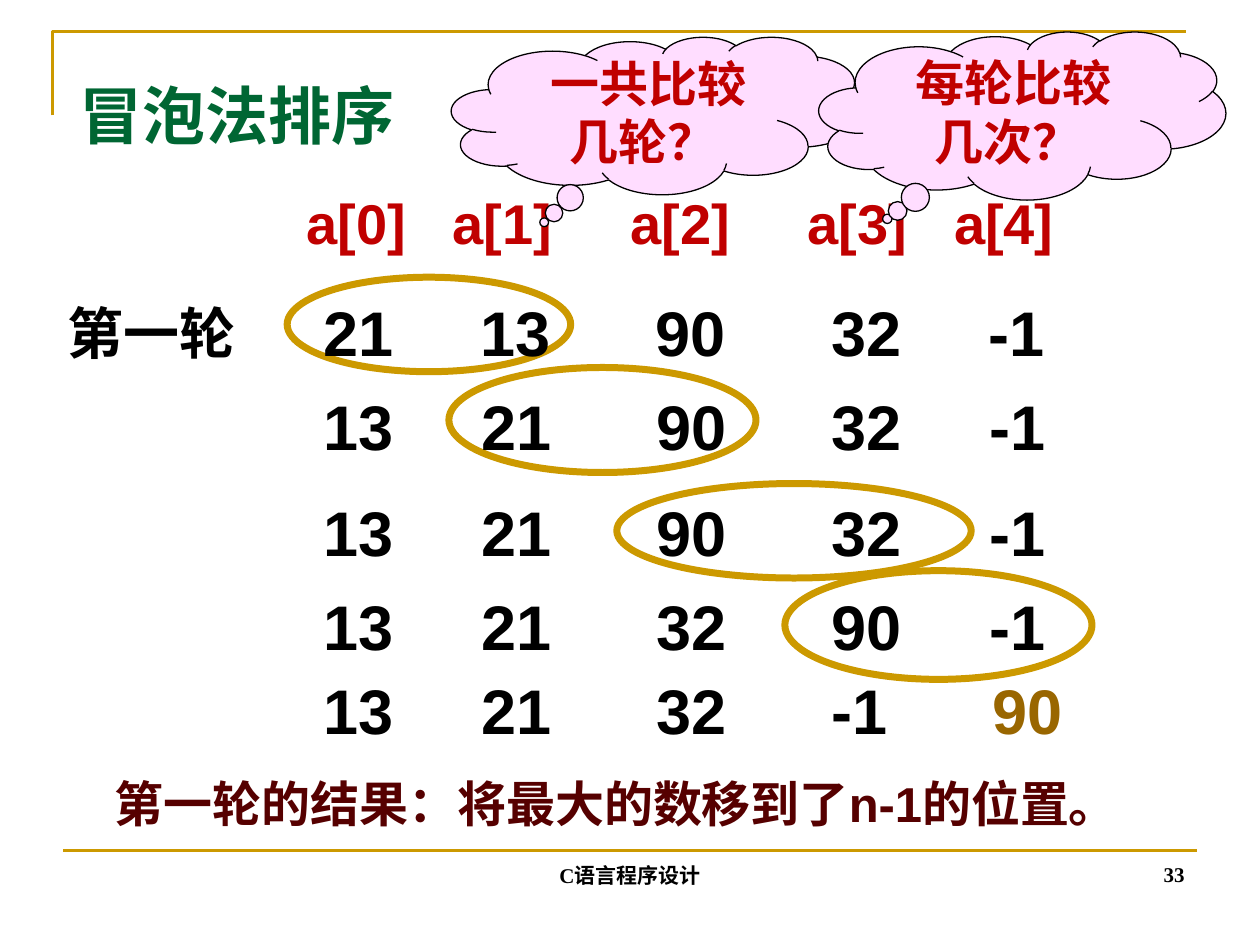
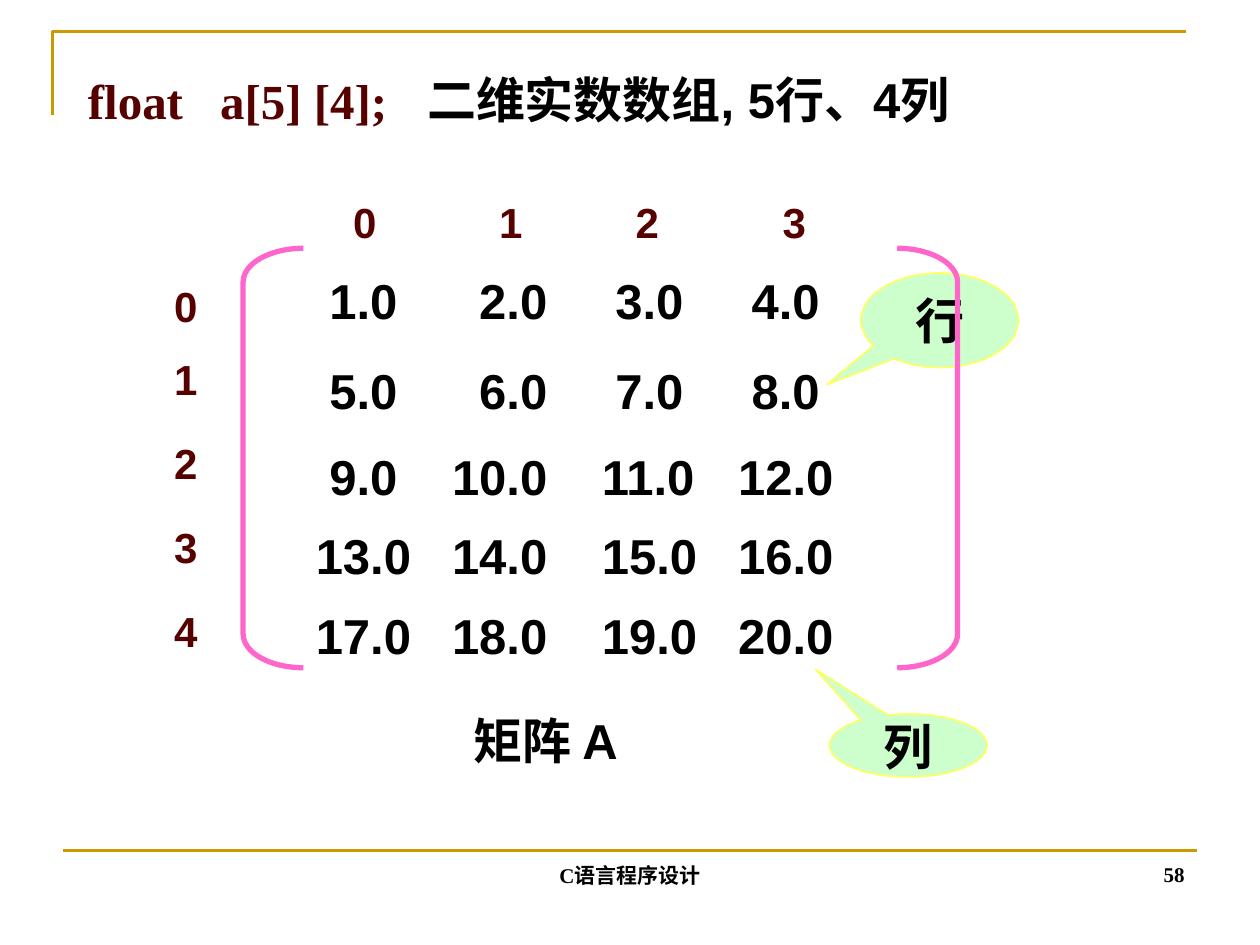
from dataclasses import dataclass

from lxml.etree import SubElement
from pptx import Presentation
from pptx.dml.color import RGBColor
from pptx.enum.shapes import MSO_CONNECTOR as Connector, MSO_SHAPE as Preset
from pptx.enum.text import MSO_ANCHOR as Anchor, MSO_AUTO_SIZE as AutoSize, PP_ALIGN as Align
from pptx.oxml.ns import qn
from pptx.util import Emu, Inches, Pt


@dataclass(frozen=True)
class Theme:
    gold: str = "CC9900"
    black: str = "000000"
    red: str = "C00000"
    maroon: str = "560000"
    green: str = "006633"
    brown: str = "996600"
    pink: str = "FFDDFF"
    magenta: str = "FF66CC"
    mint: str = "CCFFCC"
    lemon: str = "FFFF66"
    sans: str = "Arial"
    serif: str = "Times New Roman"
    cjk: str = "Noto Sans CJK JP"
    large: int = 36
    header: int = 32
    body: int = 28
    label: int = 24
    footer: int = 12
    space: float = 0.278


class Deck:
    cell = Inches(1) / 12

    def __init__(self, theme):
        self.theme = theme
        self.prs = Presentation()
        self.prs.slide_width, self.prs.slide_height = Inches(10), Inches(7.5)
        self.slide = None

    def grid(self, *cells):
        return [Emu(round(c * self.cell)) for c in cells]

    def new_slide(self, number):
        t = self.theme
        self.slide = self.prs.slides.add_slide(self.prs.slide_layouts[6])
        corner = self.slide.shapes.build_freeform(*self.grid(5, 11))
        corner.add_line_segments([self.grid(5, 3), self.grid(113, 3)], close=False)
        self.style(corner.convert_to_shape(), None, t.gold, 1.5)
        rule = self.slide.shapes.add_connector(Connector.STRAIGHT, *self.grid(6, 81, 114, 81))
        rule.line.color.rgb = RGBColor.from_string(t.gold)
        rule.line.width = Pt(1.5)
        SubElement(rule._element.spPr, qn("a:effectLst"))
        for place, words, align in (((86, 79, 28, 6), str(number), Align.RIGHT),
                                    ((41, 79.1, 38, 6), "C语言程序设计", Align.CENTER)):
            self.text(place, words, t.footer, font=t.serif, align=align,
                      anchor=Anchor.BOTTOM, grow=False)

    def style(self, shape, fill, line, width):
        shape.shadow.inherit = False
        if fill:
            shape.fill.solid()
            shape.fill.fore_color.rgb = RGBColor.from_string(fill)
        else:
            shape.fill.background()
        shape.line.color.rgb = RGBColor.from_string(line)
        shape.line.width = Pt(width)

    def shape(self, preset, place, fill, line, width, adjust=()):
        shape = self.slide.shapes.add_shape(preset, *self.grid(*place))
        self.style(shape, fill, line, width)
        for i, value in enumerate(adjust):
            shape.adjustments[i] = value
        return shape

    def add_words(self, paragraph, words, size, color, font):
        run = paragraph.add_run()
        run.text = words
        run.font.size, run.font.bold, run.font.name = Pt(size), True, font
        run.font.color.rgb = RGBColor.from_string(color)

    def text(self, place, words, size, color=None, font=None, align=Align.LEFT,
             anchor=Anchor.TOP, grow=True, wrap=True, spacing=None):
        frame = self.slide.shapes.add_textbox(*self.grid(*place)).text_frame
        frame.word_wrap, frame.vertical_anchor = wrap, anchor
        frame.auto_size = AutoSize.SHAPE_TO_FIT_TEXT if grow else AutoSize.NONE
        paragraph = frame.paragraphs[0]
        paragraph.alignment = align
        if spacing:
            paragraph.line_spacing = spacing
        self.add_words(paragraph, words, size, color or self.theme.black,
                       font or self.theme.sans)
        return paragraph

    def tab_stops(self, paragraph, size, stops):
        tabs = SubElement(paragraph._p.get_or_add_pPr(), qn("a:tabLst"))
        for stop in stops:
            position = Pt(stop * size * self.theme.space)
            SubElement(tabs, qn("a:tab"), pos=str(int(position)), algn="l")

    def tabbed_row(self, place, values, stops, size, color=None):
        lead = "\t" if stops[0] else ""
        paragraph = self.text(place, lead + "\t".join(values), size, color)
        self.tab_stops(paragraph, size, [s for s in stops if s])
        return paragraph

    def callout(self, preset, place, words, fill, line, width, adjust, color, font, wrap):
        frame = self.shape(preset, place, fill, line, width, adjust).text_frame
        frame.word_wrap, frame.vertical_anchor = wrap, Anchor.MIDDLE
        paragraph = frame.paragraphs[0]
        paragraph.alignment = Align.CENTER
        self.add_words(paragraph, words, self.theme.body, color, font)


def bubble_sort(deck):
    t = deck.theme
    deck.new_slide(33)
    for compared_pair in ((27.35, 26.4, 27, 9), (42.75, 35, 29.25, 10),
                          (58.75, 46.05, 33.75, 9), (74.75, 54.35, 29.25, 10.35)):
        deck.shape(Preset.OVAL, compared_pair, None, t.gold, 4)

    deck.tabbed_row((28, 17.4, 74, 7.65), [f"a[{i}]" for i in range(5)],
                    (0, 9.4, 20.8, 32.2, 41.6), t.header, t.red)
    columns = (1, 10, 20, 30, 39)
    deck.tabbed_row((21.25, 27.35, 82.7, 8.4), "21 13 90 32 -1".split(),
                    [c + 4 for c in columns], t.large)
    for top, width, numbers in ((36.35, 78, "13 21 90 32 -1"), (46.4, 78, "13 21 90 32 -1"),
                                (55.4, 80, "13 21 32 90 -1")):
        deck.tabbed_row((28, top, width, 8.4), numbers.split(), columns, t.large)
    result = deck.tabbed_row((28, 63.4, 80, 8.4), ["13", "21", "32", "-1", ""],
                             columns[:4] + (39.2,), t.large)
    deck.add_words(result, "90", t.large, t.brown, t.sans)

    deck.text((5.25, 27.85, 19.55, 7.65), "第一轮", t.header, wrap=False)
    deck.text((6.35, 5.25, 32.4, 9.85), "冒泡法排序", t.large, t.green, t.serif,
              wrap=False, spacing=1.2)
    for place, question, tail in (
            ((43, 3.5, 39.25, 15), " 一共比较几轮？", (-0.275, 0.678)),
            ((78, 3, 38.75, 16), " 每轮比较几次？", (-0.332, 0.615))):
        deck.callout(Preset.CLOUD_CALLOUT, place, question, t.pink, t.black, 0.75,
                     tail, t.red, t.cjk, True)
    deck.text((9.75, 73.1, 101.25, 6.85), "第一轮的结果：将最大的数移到了n-1的位置。",
              t.body, t.maroon)


def matrix(deck):
    t = deck.theme
    deck.new_slide(58)
    declaration = deck.text((7.2, 5, 86.9, 15), "float\ta[5] [4];", t.body, t.maroon,
                            t.serif, grow=False, spacing=1.2)
    deck.tab_stops(declaration, t.body, [9.7])
    for place, word, tail in (((79, 68, 15, 6), "列", (-0.59, -1.21)),
                              ((82, 26, 15, 9), "行", (-0.718, 0.683))):
        deck.callout(Preset.OVAL_CALLOUT, place, word, t.mint, t.lemon, 1,
                     tail, t.black, t.sans, False)
    deck.text((39.5, 6, 56.5, 6.85), "二维实数数组, 5行、4列", t.body, wrap=False)

    for bracket, left in ((Preset.LEFT_BRACKET, 23.15), (Preset.RIGHT_BRACKET, 85.45)):
        deck.shape(bracket, (left, 23.65, 5.75, 39.95), None, t.magenta, 3, (0.56,))
    narrow, mixed, wide = (1, 12, 22, 32), (1, 10, 21, 31), (0, 10, 21, 31)
    tops = (25.2, 33.7, 41.9, 49.45, 57.1)
    for row, (top, stops) in enumerate(zip(tops, (narrow, narrow, mixed, wide, wide))):
        values = [f"{4 * row + column + 1:.1f}" for column in range(4)]
        deck.tabbed_row((28.9, top, 56.4, 6.85), values, stops, t.body)
    deck.text((43.9, 67.1, 20, 6.85), "矩阵 A", t.body)

    row_places = [(13.2, top) for top in (26.15, 33.1, 41.1, 49.1, 57.1)]
    column_places = [(left, 18.1) for left in (30.25, 44.15, 57.15, 71.15)]
    for places in (row_places, column_places):
        for index, place in enumerate(places):
            deck.text((*place, 9, 6), str(index), t.label, t.maroon,
                      align=Align.CENTER, anchor=Anchor.MIDDLE)


def main():
    deck = Deck(Theme())
    bubble_sort(deck)
    matrix(deck)
    deck.prs.save("out.pptx")


if __name__ == "__main__":
    main()
